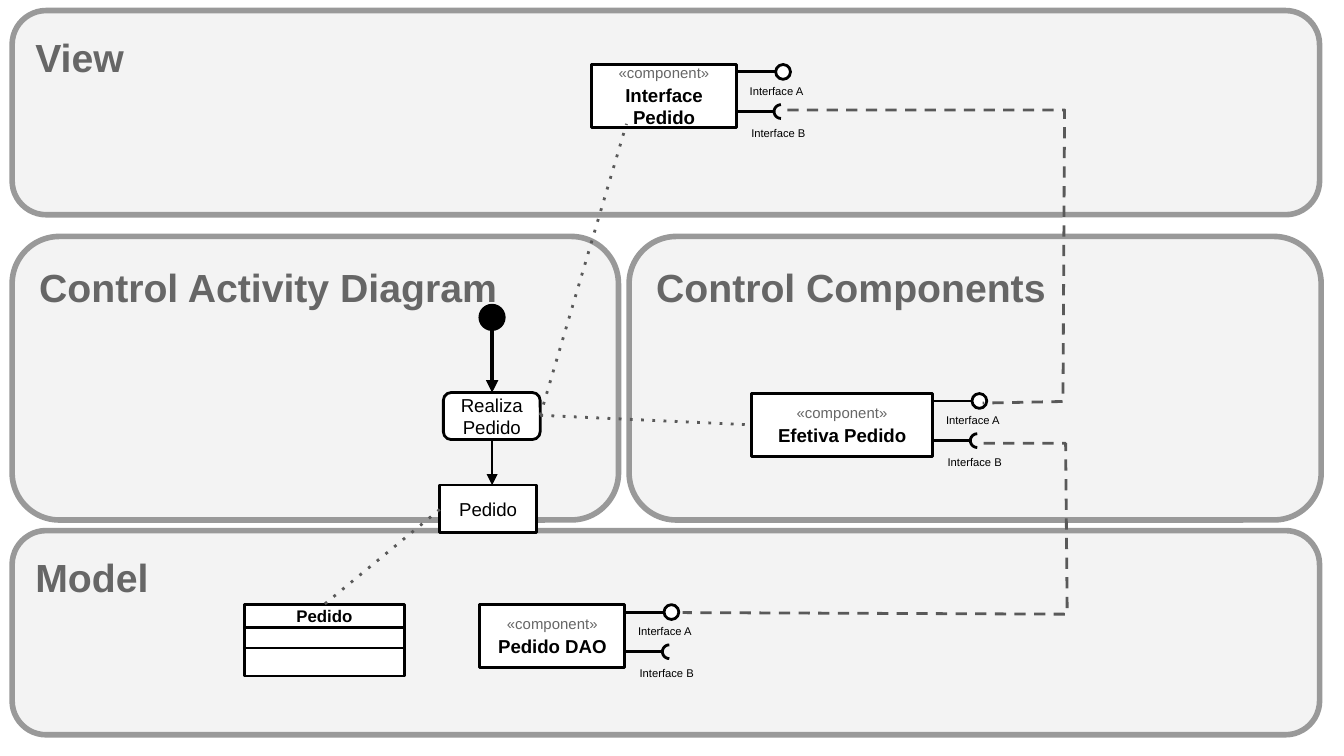
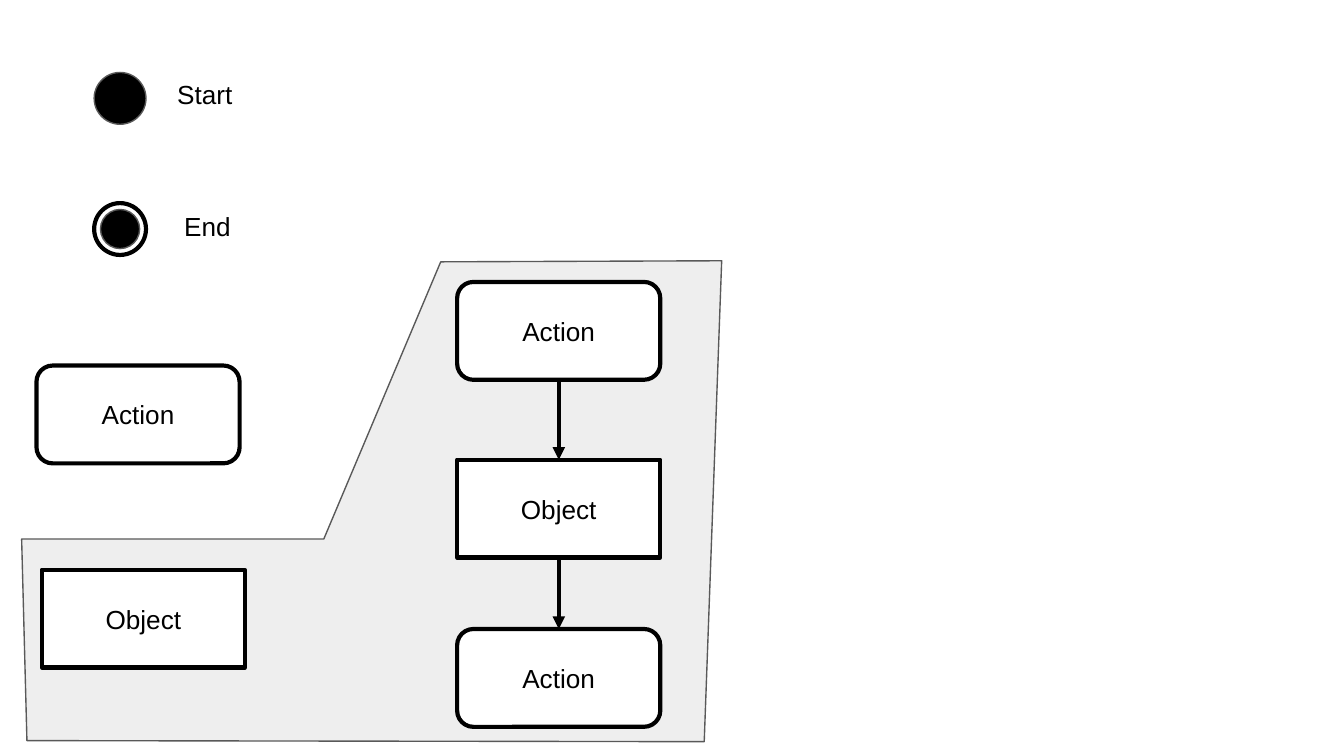
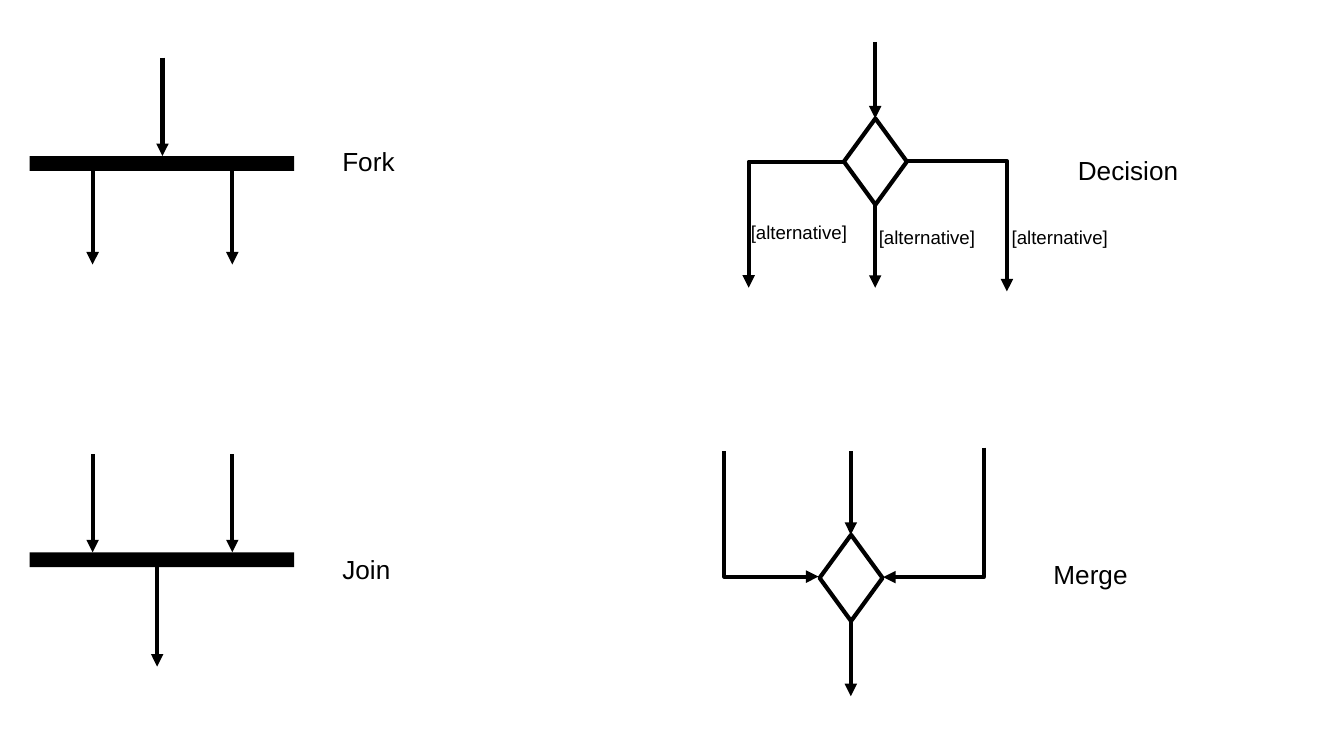
import math

from lxml import etree
from pptx import Presentation
from pptx import util as u
from pptx.dml.color import RGBColor
from pptx.enum import shapes, text
from pptx.oxml.ns import qn

COLORS = {
    "ink": "000000",
    "paper": "FFFFFF",
    "panel": "F3F3F3",
    "panel_line": "999999",
    "muted": "666666",
    "link": "595959",
    "area": "EEEEEE",
}
FONT = "Arial"
BLANK_LAYOUT = 6
RECT = shapes.MSO_SHAPE.RECTANGLE
ROUND = shapes.MSO_SHAPE.ROUNDED_RECTANGLE
OVAL = shapes.MSO_SHAPE.OVAL
DIAMOND = shapes.MSO_SHAPE.FLOWCHART_DECISION


def rgb(name):
    return RGBColor.from_string(COLORS[name])


def cm(*values):
    return [u.Cm(v) for v in values]


class Diagram:
    """Draws UML elements on the current slide; lengths are in centimetres."""

    def __init__(self, prs):
        self.prs = prs
        self.s = None

    def new_slide(self):
        self.s = self.prs.slides.add_slide(self.prs.slide_layouts[BLANK_LAYOUT])

    # Style helpers
    def outline(self, sp, color, width, dash=None, arrow=False):
        sp.line.color.rgb = rgb(color)
        sp.line.width = u.Pt(width)
        ln = sp.get_or_add_ln()
        if dash:
            etree.SubElement(ln, qn("a:prstDash"), val=dash)
        if arrow:
            etree.SubElement(ln, qn("a:tailEnd"), type="triangle")

    def set_text(self, sp, lines, size, color="ink", bold=False, center=True,
                 middle=True, inset=(0.25, 0.25)):
        tf = sp.text_frame
        tf.word_wrap = True
        tf.margin_left = tf.margin_right = u.Cm(inset[0])
        tf.margin_top = tf.margin_bottom = u.Cm(inset[1])
        anchor = text.MSO_ANCHOR
        tf.vertical_anchor = anchor.MIDDLE if middle else anchor.TOP
        tf.text = lines
        for p in tf.paragraphs:
            p.alignment = text.PP_ALIGN.CENTER if center else text.PP_ALIGN.LEFT
            p.font.name = FONT
            p.font.size = u.Pt(size)
            p.font.bold = bold
            p.font.color.rgb = rgb(color)
        return tf

    # Basic elements
    def shape(self, kind, x, y, w, h, fill="paper", line="ink", width=1.5):
        sp = self.s.shapes.add_shape(kind, *cm(x, y, w, h))
        sp.shadow.inherit = False
        sp.fill.solid()
        sp.fill.fore_color.rgb = rgb(fill)
        if line:
            self.outline(sp, line, width)
        else:
            sp.line.fill.background()
        return sp

    def box(self, kind, x, y, w, h, lines, size=14, width=2.25, **style):
        self.set_text(self.shape(kind, x, y, w, h, width=width), lines, size, **style)

    def label(self, x, y, w, h, words, size=14, inset=(0.25, 0.25)):
        sp = self.s.shapes.add_textbox(*cm(x, y, w, h))
        self.set_text(sp, words, size, center=False, middle=False, inset=inset)

    def line(self, x1, y1, x2, y2, color="ink", width=2.25, dash=None, arrow=False):
        c = self.s.shapes.add_connector(
            shapes.MSO_CONNECTOR.STRAIGHT, *cm(x1, y1, x2, y2))
        self.outline(c, color, width, dash, arrow)
        etree.SubElement(c.element.spPr, qn("a:effectLst"))

    def down(self, x, y1, y2, width=2.25):
        self.line(x, y1, x, y2, width=width, arrow=True)

    def trace(self, x1, y1, x2, y2):
        self.line(x1, y1, x2, y2, "link", 1.5, "dot")

    def outline_through(self, points, color="ink", width=2.25, fill=None,
                        dash=None, arrow=False):
        points = [cm(*point) for point in points]
        fb = self.s.shapes.build_freeform(*points[0])
        fb.add_line_segments(points[1:], close=bool(fill))
        sp = fb.convert_to_shape()
        sp.shadow.inherit = False
        if fill:
            sp.fill.solid()
            sp.fill.fore_color.rgb = rgb(fill)
        else:
            sp.fill.background()
        self.outline(sp, color, width, dash, arrow)

    # UML elements
    def panel(self, x, y, w, h, title):
        sp = self.shape(ROUND, x, y, w, h, "panel", "panel_line", 3)
        self.set_text(sp, title, 21, "muted", bold=True, center=False, middle=False)

    def component(self, x, y, w, name):
        sp = self.shape(RECT, x, y, w, 1.19)
        tf = self.set_text(sp, f"«component»\n{name}", 10, bold=True,
                           inset=(0.28, 0.15))
        stereotype, title = tf.paragraphs
        stereotype.font.size = u.Pt(8)
        stereotype.font.bold = False
        stereotype.font.color.rgb = rgb("muted")
        title.space_before = u.Pt(1)

        # Required interface: half-circle socket
        right, y_socket, radius = x + w, y + 0.89, 0.13
        self.line(right, y_socket, right + 0.69, y_socket, width=1.5)
        angles = [math.radians(a) for a in range(90, 271, 15)]
        self.outline_through([(right + 0.84 + radius * math.cos(a),
                               y_socket - radius * math.sin(a)) for a in angles],
                             width=1.5)
        self.label(right + 0.03, y + 1.04, 1.73, 0.41, "Interface B", 6, (0.25, 0.13))

        # Provided interface: ball
        self.shape(OVAL, right + 0.74, y, 0.28, 0.28)
        self.line(right, y + 0.14, right + 0.74, y + 0.14, width=1.5)
        self.label(right, y + 0.25, 1.68, 0.41, "Interface A", 6, (0.25, 0.13))

    def class_box(self, x, y, w, name):
        self.box(RECT, x, y, w, 0.43, name, 9, 1.5, bold=True, inset=(0.28, 0.15))
        self.shape(RECT, x, y + 0.43, w, 0.39)
        self.shape(RECT, x, y + 0.82, w, 0.53)

    def action(self, x, y):
        self.box(ROUND, x, y, 3.84, 1.85, "Action")

    def object(self, x, y):
        self.box(RECT, x, y, 3.84, 1.85, "Object")

    def bar(self, y):
        self.shape(RECT, 0.56, y, 5, 0.28, "ink", None)

    def diamond(self, x, y):
        self.shape(DIAMOND, x, y, 1.19, 1.63, width=2.25)


def layers_slide(d):
    d.new_slide()
    d.panel(0.23, 10.03, 24.71, 3.86, "Model")
    d.panel(11.89, 4.47, 13.08, 5.36, "Control Components")
    d.panel(0.23, 4.47, 11.46, 5.36, "Control Activity Diagram")
    d.panel(0.23, 0.2, 24.71, 3.86, "View")

    # Activity flow
    d.shape(OVAL, 9.07, 5.77, 0.46, 0.46, "ink")
    d.box(ROUND, 8.38, 7.42, 1.83, 0.89, "Realiza\nPedido", 10, 1.5)
    d.component(14.2, 7.44, 3.43, "Efetiva Pedido")
    d.trace(10.21, 7.85, 14.2, 8.03)
    d.down(9.3, 6.23, 7.42)
    d.down(9.3, 8.31, 9.17, 1.5)

    # View and model components with their links
    d.component(11.18, 1.22, 2.74, "Interface Pedido")
    d.outline_through([(14.88, 2.08), (20.12, 2.08), (20.09, 7.59), (18.57, 7.62)],
                      "link", 1.5, dash="dash")
    d.trace(10.21, 7.85, 11.84, 2.34)
    d.component(9.07, 11.43, 2.74, "Pedido DAO")
    d.box(RECT, 8.31, 9.17, 1.83, 0.89, "Pedido", 10, 1.5)
    d.outline_through([(18.59, 8.38), (20.14, 8.38), (20.17, 11.61), (12.9, 11.58)],
                      "link", 1.5, dash="dash")
    d.class_box(4.62, 11.43, 3.02, "Pedido")
    d.trace(8.31, 9.63, 6.12, 11.43)


def nodes_slide(d):
    d.new_slide()
    d.outline_through([(0.41, 10.19), (6.12, 10.19), (8.33, 4.95), (13.64, 4.93),
                       (13.31, 14.02), (0.51, 14)], "link", 0.75, fill="area")

    # Start and end
    d.shape(OVAL, 1.78, 1.37, 0.98, 0.98, "ink", "link", 0.75)
    d.shape(OVAL, 1.78, 3.84, 0.98, 0.98, width=2.25)
    d.shape(OVAL, 1.9, 3.96, 0.74, 0.74, "ink", "link", 0.75)
    d.label(3.1, 1.24, 1.63, 1.19, "Start")
    d.label(3.23, 3.73, 1.63, 1.19, "End")

    # Actions and objects
    d.action(0.69, 6.91)
    d.object(8.64, 8.69)
    d.action(8.64, 5.33)
    d.object(0.79, 10.77)
    d.action(8.64, 11.89)
    d.down(10.56, 7.18, 8.69)
    d.down(10.56, 10.54, 11.89)


def control_slide(d):
    d.new_slide()

    # Join
    d.bar(10.44)
    for x in (1.75, 4.39):
        d.down(x, 8.59, 10.44)
    d.down(2.97, 10.72, 12.6)
    d.label(6.22, 10.21, 1.63, 1.19, "Join")

    # Fork
    d.bar(2.95)
    for x in (1.75, 4.39):
        d.down(x, 3.12, 5)
    d.down(3.07, 1.09, 2.95)
    d.label(6.22, 2.49, 2.44, 1.19, "Fork")

    # Decision
    d.diamond(15.95, 2.24)
    d.down(16.54, 0.79, 2.24)
    d.outline_through([(15.93, 3.06), (14.15, 3.06), (14.15, 5.44)], arrow=True)
    d.outline_through([(17.12, 3.05), (19.03, 3.05), (19.03, 5.51)], arrow=True)
    d.down(16.54, 3.86, 5.44)
    d.label(20.12, 2.67, 2.54, 1.19, "Decision")
    for x, y in ((13.94, 3.96), (18.87, 4.06), (16.36, 4.06)):
        d.label(x, y, 2.36, 0.86, "[alternative]", 10)

    # Merge
    d.label(19.66, 10.31, 2.54, 1.19, "Merge")
    d.down(16.08, 8.53, 10.11)
    d.diamond(15.49, 10.11)
    d.down(16.08, 11.73, 13.16)
    d.outline_through([(13.69, 8.53), (13.69, 10.9), (15.47, 10.9)], arrow=True)
    d.outline_through([(18.59, 8.46), (18.59, 10.91), (16.69, 10.91)], arrow=True)


def main():
    prs = Presentation()
    prs.slide_width, prs.slide_height = cm(25.4, 14.29)
    d = Diagram(prs)
    layers_slide(d)
    nodes_slide(d)
    control_slide(d)
    prs.save("out.pptx")


if __name__ == "__main__":
    main()
